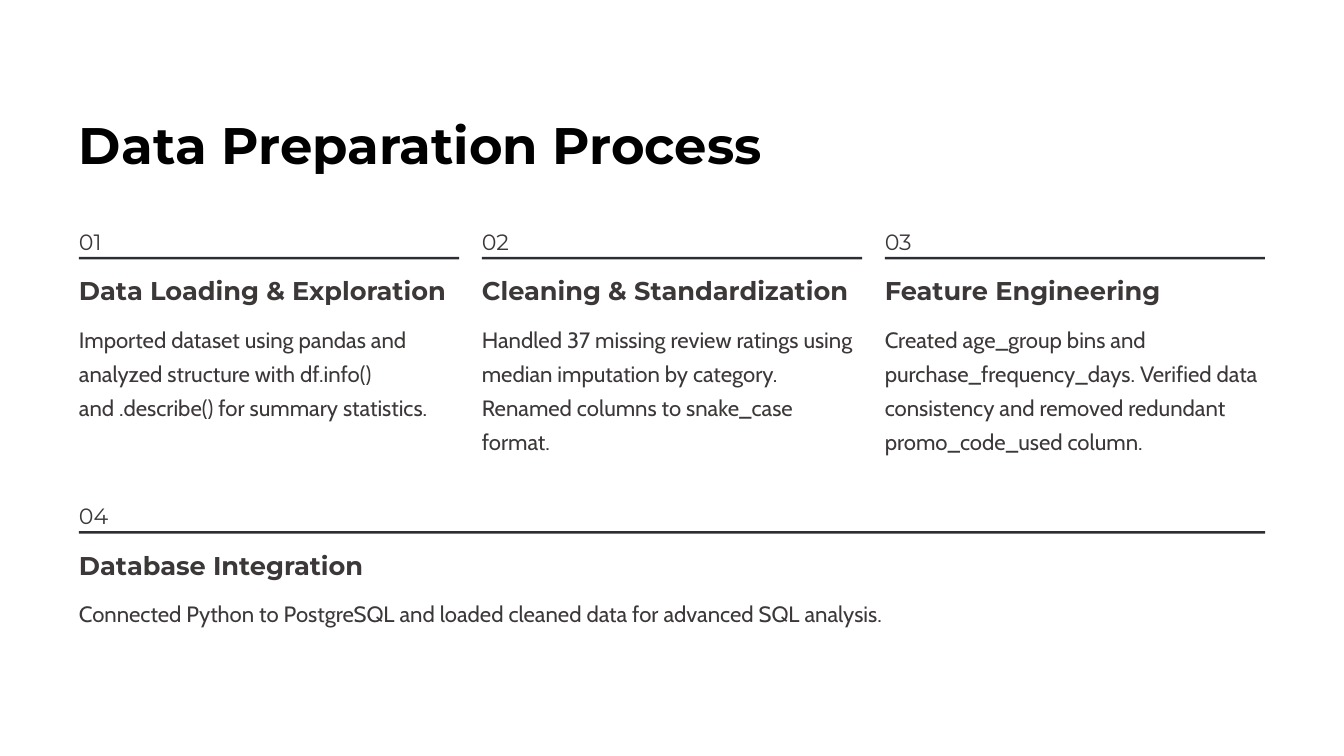
from pptx import Presentation, util as u
from pptx.dml.color import RGBColor
from pptx.enum import shapes, text

WIDE, HIGH = 16, 9
BLACK, INK, RULE = "000000", "3D3838", "2D2E34"
HEAD, BODY = "Montserrat", "Cabin"
HARD = chr(160)  # non-breaking space

TITLE = "Data Preparation Process"
# heading, body, grid column, grid row, columns spanned
STEPS = [
    ("Data Loading & Exploration",
     "Imported dataset using pandas and analyzed structure with df.info() "
     f"and{HARD}.describe() for summary statistics.", 0, 0, 1),
    ("Cleaning & Standardization",
     "Handled 37 missing review ratings using median imputation by category. "
     "Renamed columns to snake_case format.", 1, 0, 1),
    ("Feature Engineering",
     "Created age_group bins and purchase_frequency_days. Verified data "
     "consistency and removed redundant promo_code_used column.", 2, 0, 1),
    ("Database Integration",
     "Connected Python to PostgreSQL and loaded cleaned data for advanced "
     "SQL analysis.", 0, 1, 3),
]

EDGE, GAP, COLS = 0.94, 0.27, 3
SPAN = WIDE - 2 * EDGE
COL = (SPAN - GAP * (COLS - 1)) / COLS
TOP, ROW = 2.63, 3.265


def color(code):
    return RGBColor.from_string(code)


def write(box, words, font, size, lead, ink=INK, bold=False, wrap=False):
    """Fill a text shape with one left-aligned, top-anchored paragraph."""
    frame = box.text_frame
    frame.text = words
    frame.word_wrap = wrap
    frame.auto_size = text.MSO_AUTO_SIZE.NONE
    frame.vertical_anchor = text.MSO_ANCHOR.TOP
    frame.margin_left = frame.margin_right = 0
    frame.margin_top = frame.margin_bottom = 0
    para = frame.paragraphs[0]
    para.alignment = text.PP_ALIGN.LEFT
    para.line_spacing = u.Pt(lead)
    para.space_before = u.Pt(0)
    face = para.runs[0].font
    face.name, face.size, face.bold = font, u.Pt(size), bold
    face.color.rgb = color(ink)


def place(x, y, w, h):
    return [u.Inches(n) for n in (x, y, w, h)]


def main():
    deck = Presentation()
    deck.slide_width, deck.slide_height = u.Inches(WIDE), u.Inches(HIGH)
    slide = deck.slides.add_slide(deck.slide_layouts[5])
    fill = slide.background.fill
    fill.solid()
    fill.fore_color.rgb = color("FFFFFF")

    title = slide.shapes.title
    title.left, title.top, title.width, title.height = place(EDGE, 1.32, 8.15, 0.77)
    write(title, TITLE, HEAD, 44, 55, BLACK, bold=True)

    add = slide.shapes.add_textbox
    for num, (head, body, col, row, cols) in enumerate(STEPS, 1):
        x = EDGE + col * (COL + GAP)
        y = TOP + row * ROW
        w = cols * COL + (cols - 1) * GAP
        write(add(*place(x, y, 0.27, 0.34)), f"{num:02}", HEAD, 19, 29)

        bar = slide.shapes.add_shape(shapes.MSO_SHAPE.RECTANGLE,
                                     *place(x, y + 0.43, w, 0.03))
        bar.shadow.inherit = False
        bar.fill.solid()
        bar.fill.fore_color.rgb = color(RULE)
        bar.line.fill.background()

        write(add(*place(x, y + 0.63, COL, 0.38)), head, HEAD, 22, 27.5, bold=True)
        tall = 1.62 if cols == 1 else 0.4
        write(add(*place(x, y + 1.17, w, tall)), body, BODY, 19, 29, wrap=True)

    deck.save("out.pptx")


if __name__ == "__main__":
    main()
